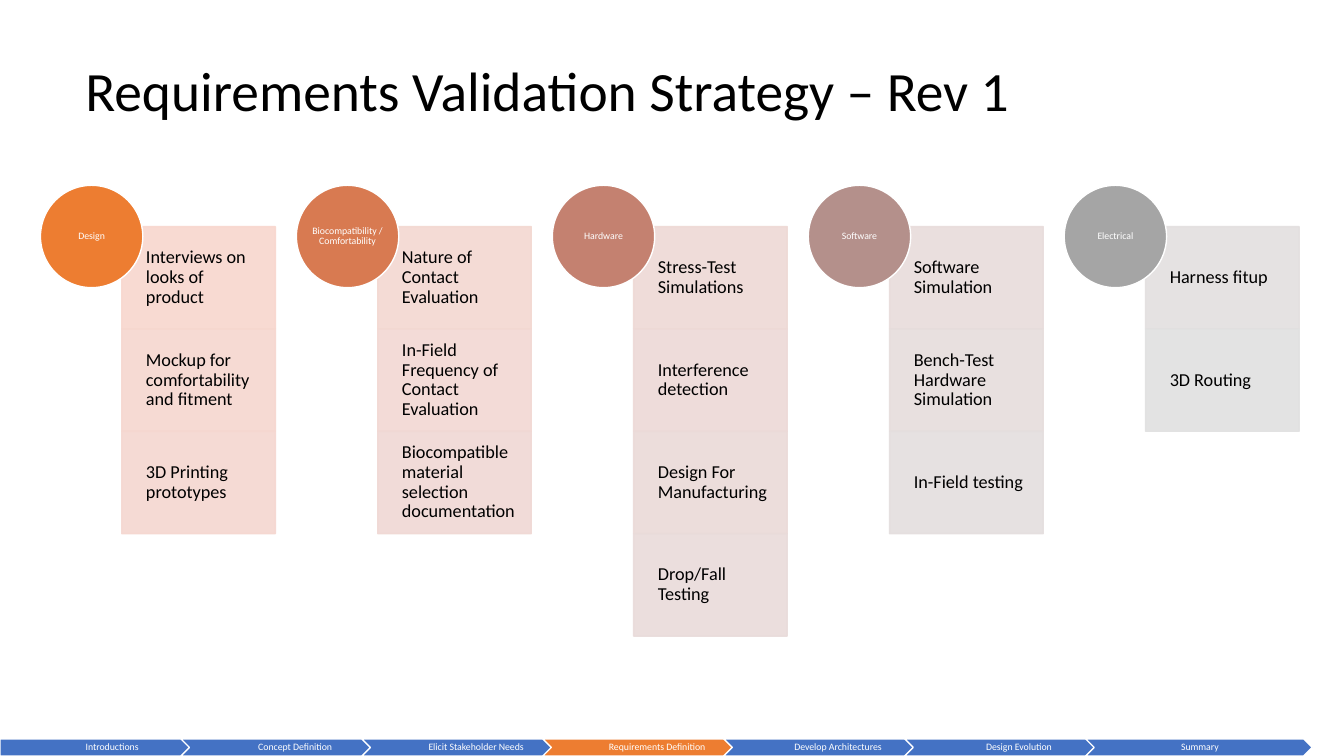
from dataclasses import dataclass

import pptx
import pptx.dml.color
import pptx.enum.shapes
import pptx.enum.text
import pptx.oxml.ns
import pptx.shapes.autoshape
import pptx.slide
import pptx.util
from lxml import etree

Cm = pptx.util.Cm
Pt = pptx.util.Pt
Kind = pptx.enum.shapes.MSO_SHAPE
Align = pptx.enum.text.PP_ALIGN

COLOURS = {
    "text": "000000",
    "white": "FFFFFF",
    "step": "4472C4",
    "current_step": "ED7D31",
    "design": "ED7D31",
    "design_1": "F8D7CE",
    "design_2": "F6D7CF",
    "design_3": "F5D7D0",
    "comfort": "D87A51",
    "comfort_1": "F3D8D1",
    "comfort_2": "F2D8D3",
    "comfort_3": "F0D8D4",
    "hardware": "C48170",
    "hardware_1": "EED9D5",
    "hardware_2": "EDD9D7",
    "hardware_3": "EBDAD8",
    "hardware_4": "E9DBDA",
    "software": "B4908B",
    "software_1": "E8DCDB",
    "software_2": "E6DDDC",
    "software_3": "E4DEDE",
    "electrical": "A5A5A5",
    "electrical_1": "E3DFDF",
    "electrical_2": "E1E1E1",
}


@dataclass
class Category:
    key: str
    label: str
    methods: list[str]


@dataclass
class Style:
    text_colour: str
    size: float
    alignment: Align
    margins: tuple[float, float, float, float]
    opacity: int = 100


CARD = Style("text", 13, Align.LEFT, (0.61, 0.25, 0.25, 0.25), 90)
CIRCLE = Style("white", 7, Align.CENTER, (0, 0, 0, 0))
STEP = Style("white", 7, Align.CENTER, (0.08, 0.04, 0.03, 0.04))
TITLE = Style("text", 39.6, Align.LEFT, (0.25, 0.13, 0.25, 0.13))

CATEGORIES = [
    Category("design", "Design", [
        "Interviews on looks of product",
        "Mockup for comfortability and fitment",
        "3D Printing prototypes",
    ]),
    Category("comfort", "Biocompatibility / Comfortability", [
        "Nature of Contact Evaluation",
        "In-Field Frequency of Contact Evaluation",
        "Biocompatible material selection documentation",
    ]),
    Category("hardware", "Hardware", [
        "Stress-Test Simulations",
        "Interference detection",
        "Design For Manufacturing",
        "Drop/Fall Testing",
    ]),
    Category("software", "Software", [
        "Software Simulation",
        "Bench-Test Hardware Simulation",
        "In-Field testing",
    ]),
    Category("electrical", "Electrical", ["Harness fitup", "3D Routing"]),
]

STEPS = [
    "Introductions",
    "Concept Definition",
    "Elicit Stakeholder Needs",
    "Requirements Definition",
    "Develop Architectures",
    "Design Evolution",
    "Summary",
]
CURRENT_STEP = "Requirements Definition"

COLUMN_LEFT, COLUMN_PITCH = 1.02, 6.45
CIRCLE_TOP, CIRCLE_SIZE = 4.67, 2.58
CARD_OFFSET, CARD_TOP, CARD_WIDTH, CARD_HEIGHT = 2.05, 5.71, 3.87, 2.58
STEP_TOP, STEP_WIDTH, STEP_HEIGHT, STEP_PITCH = 18.62, 5.71, 0.43, 4.56


def colour(name: str) -> pptx.dml.color.RGBColor:
    return pptx.dml.color.RGBColor.from_string(COLOURS[name])


def set_attributes(target: object, values: dict[str, object]) -> None:
    for name, value in values.items():
        setattr(target, name, value)


def write_text(shape: pptx.shapes.autoshape.Shape, text: str, style: Style) -> None:
    left, top, right, bottom = map(Cm, style.margins)
    frame = shape.text_frame
    frame.text = text
    paragraph = frame.paragraphs[0]
    set_attributes(frame, {
        "word_wrap": True,
        "auto_size": pptx.enum.text.MSO_AUTO_SIZE.NONE,
        "vertical_anchor": pptx.enum.text.MSO_ANCHOR.MIDDLE,
        "margin_left": left,
        "margin_top": top,
        "margin_right": right,
        "margin_bottom": bottom,
    })
    set_attributes(paragraph, {"alignment": style.alignment, "line_spacing": 0.9})
    font = paragraph.runs[0].font
    set_attributes(font, {"name": "Calibri", "size": Pt(style.size)})
    font.color.rgb = colour(style.text_colour)


def add_block(slide: pptx.slide.Slide, kind: Kind, box: tuple[float, float, float, float],
              text: str, fill: str, line: str, style: Style) -> None:
    shape = slide.shapes.add_shape(kind, *map(Cm, box))
    shape.shadow.inherit = False
    shape.fill.solid()
    shape.fill.fore_color.rgb = colour(fill)
    shape.line.color.rgb = colour(line)
    shape.line.width = Pt(1)
    if style.opacity < 100:
        qualify = pptx.oxml.ns.qn
        for element in list(shape._element.spPr.iter(qualify("a:srgbClr"))):
            alpha = etree.SubElement(element, qualify("a:alpha"))
            alpha.set("val", str(style.opacity * 1000))
    write_text(shape, text, style)


def add_category(slide: pptx.slide.Slide, category: Category, left: float) -> None:
    for row, method in enumerate(category.methods):
        box = (left + CARD_OFFSET, CARD_TOP + row * CARD_HEIGHT, CARD_WIDTH, CARD_HEIGHT)
        fill = f"{category.key}_{row + 1}"
        add_block(slide, Kind.RECTANGLE, box, method, fill, fill, CARD)
    box = (left, CIRCLE_TOP, CIRCLE_SIZE, CIRCLE_SIZE)
    add_block(slide, Kind.OVAL, box, category.label, category.key, "white", CIRCLE)


def add_steps(slide: pptx.slide.Slide) -> None:
    for index, step in enumerate(STEPS):
        kind = Kind.CHEVRON if index else Kind.PENTAGON
        fill = "current_step" if step == CURRENT_STEP else "step"
        box = (index * STEP_PITCH, STEP_TOP, STEP_WIDTH, STEP_HEIGHT)
        add_block(slide, kind, box, step, fill, "white", STEP)


def main() -> None:
    presentation = pptx.Presentation()
    set_attributes(presentation, {"slide_width": Cm(33.87), "slide_height": Cm(19.05)})
    slide = presentation.slides.add_slide(presentation.slide_layouts.get_by_name("Title Only"))
    title = slide.shapes.title
    set_attributes(title, {
        "left": Cm(1.9), "top": Cm(1.7), "width": Cm(28.14), "height": Cm(1.32),
    })
    write_text(title, "Requirements Validation Strategy – Rev 1", TITLE)
    for column, category in enumerate(CATEGORIES):
        add_category(slide, category, COLUMN_LEFT + column * COLUMN_PITCH)
    add_steps(slide)
    presentation.save("out.pptx")


if __name__ == "__main__":
    main()
